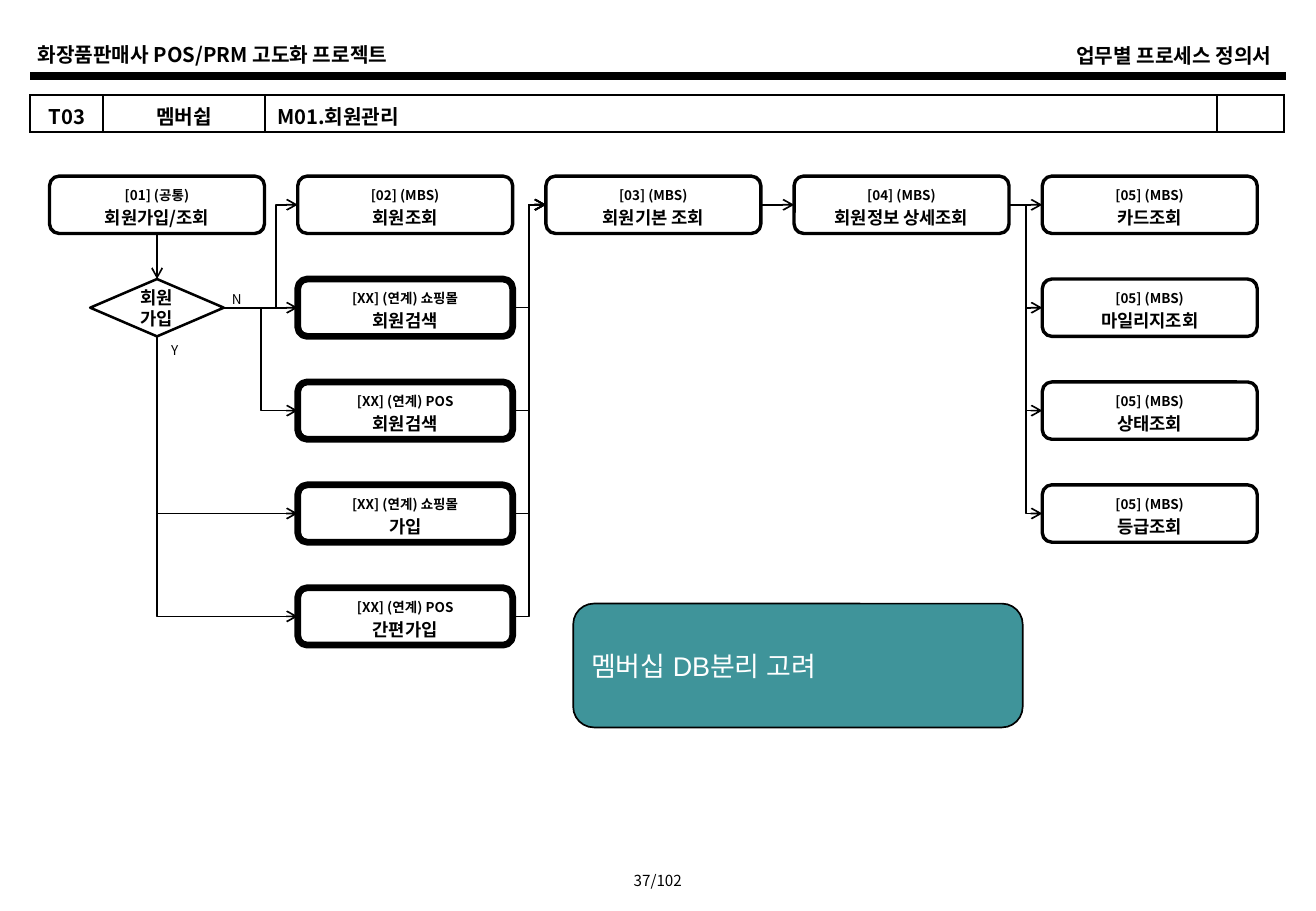
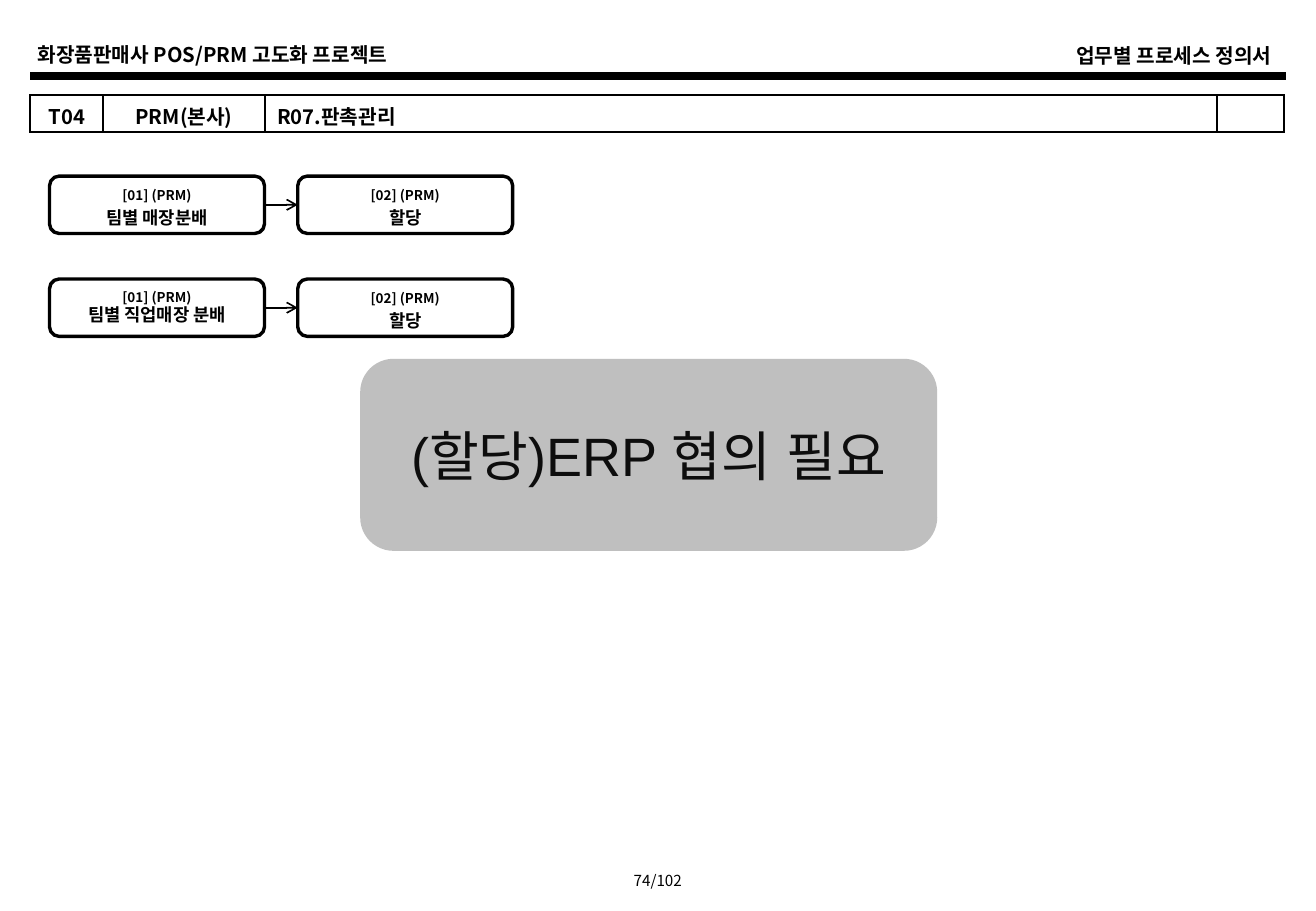
"""Builds two business-process definition slides with flow charts."""
from lxml import etree
from pptx import Presentation
from pptx.dml.color import RGBColor
from pptx.enum.shapes import MSO_CONNECTOR, MSO_SHAPE
from pptx.enum.text import MSO_ANCHOR, MSO_AUTO_SIZE, PP_ALIGN
from pptx.oxml.ns import qn
from pptx.util import Pt

LEFT, CENTER, RIGHT = PP_ALIGN.LEFT, PP_ALIGN.CENTER, PP_ALIGN.RIGHT
MIDDLE, NO_FIT = MSO_ANCHOR.MIDDLE, MSO_AUTO_SIZE.NONE
ROUNDED, DIAMOND = MSO_SHAPE.ROUNDED_RECTANGLE, MSO_SHAPE.FLOWCHART_DECISION
STRAIGHT, ELBOW = MSO_CONNECTOR.STRAIGHT, MSO_CONNECTOR.ELBOW

BLACK = RGBColor(0x00, 0x00, 0x00)
WHITE = RGBColor(0xFF, 0xFF, 0xFF)
TEAL = RGBColor(0x3F, 0x94, 0x9A)
GRAY = RGBColor(0xBF, 0xBF, 0xBF)
INK = RGBColor(0x0D, 0x0D, 0x0D)
KOREAN, LATIN = "Noto Sans CJK KR", "Arial"

PROJECT = "화장품판매사 POS/PRM 고도화 프로젝트"
DOCUMENT = "업무별 프로세스 정의서"
TABLE_COLUMNS = (43.2, 95.8, 564.4, 39.6)
TABLE_ALIGN = (CENTER, CENTER, LEFT, CENTER)

COLUMN_X, COLUMN_STEP, NODE_W = 29.4, 147.1, 127.4
ROW_Y, ROW_STEP, NODE_H = 104.4, 61, 34
DIAMOND_W = 79.2
THIN, THICK = 2, 4
LOOSE, TIGHT = (13, 15), (9, 12)
TOP_SITE, LEFT_SITE, BOTTOM_SITE, RIGHT_SITE = range(4)
SITES = {"across": (RIGHT_SITE, LEFT_SITE), "down": (BOTTOM_SITE, TOP_SITE),
         "drop": (BOTTOM_SITE, LEFT_SITE)}

MEMBERSHIP = {
    "page": "37/102",
    "header": ("T03", "멤버쉽", "M01.회원관리", ""),
    "nodes": [
        (0, 0, "[01] (공통)", "회원가입/조회", THIN, LOOSE),
        (1, 0, "[02] (MBS)", "회원조회", THIN, LOOSE),
        (2, 0, "[03] (MBS)", "회원기본 조회", THIN, LOOSE),
        (3, 0, "[04] (MBS)", "회원정보 상세조회", THIN, LOOSE),
        (4, 0, "[05] (MBS)", "카드조회", THIN, LOOSE),
        (1, 1, "[XX] (연계) 쇼핑몰", "회원검색", THICK, LOOSE),
        (1, 2, "[XX] (연계) POS", "회원검색", THICK, LOOSE),
        (1, 3, "[XX] (연계) 쇼핑몰", "가입", THICK, LOOSE),
        (1, 4, "[XX] (연계) POS", "간편가입", THICK, LOOSE),
        (4, 1, "[05] (MBS)", "마일리지조회", THIN, LOOSE),
        (4, 2, "[05] (MBS)", "상태조회", THIN, LOOSE),
        (4, 3, "[05] (MBS)", "등급조회", THIN, LOOSE),
    ],
    "decisions": [(0, 1, ("회원", "가입"))],
    "labels": [("N", 130.3, 168.5), ("Y", 93.6, 198.7)],
    "links": [
        ((0, 0), (0, 1), "down", None),
        ((0, 1), (1, 1), "across", None),
        ((0, 1), (1, 2), "across", 0.5),
        ((0, 1), (1, 0), "across", 0.71),
        ((0, 1), (1, 3), "drop", None),
        ((0, 1), (1, 4), "drop", None),
        ((2, 0), (3, 0), "across", None),
        ((3, 0), (4, 0), "across", None),
        *[((1, row), (2, 0), "across", 0.5) for row in range(1, 5)],
        *[((3, 0), (4, row), "across", 0.5) for row in range(1, 4)],
    ],
    "callout": {"text": "멤버십 DB분리 고려", "box": (339.8, 357.8, 266.4, 73.4), "fill": TEAL,
                "line": BLACK, "weight": 1, "size": 16, "color": WHITE,
                "align": LEFT, "wrap": True},
}
PROMOTION = {
    "page": "74/102",
    "header": ("T04", "PRM(본사)", "R07.판촉관리", ""),
    "nodes": [
        (0, 0, "[01] (PRM)", "팀별 매장분배", THIN, LOOSE),
        (1, 0, "[02] (PRM)", "할당", THIN, LOOSE),
        (0, 1, "[01] (PRM)", "팀별 직업매장 분배", THIN, TIGHT),
        (1, 1, "[02] (PRM)", "할당", THIN, LOOSE),
    ],
    "decisions": [],
    "labels": [],
    "links": [((0, row), (1, row), "across", None) for row in range(2)],
    "callout": {"text": "(할당)ERP 협의 필요", "box": (214.6, 213.8, 339.8, 111.6), "fill": GRAY,
                "line": GRAY, "weight": 2.25, "size": 32, "color": INK,
                "align": CENTER, "wrap": False},
}


def points(*lengths):
    return [Pt(length) for length in lengths]


def write(frame, *lines, sizes=(12,), spacing=None, font=KOREAN, color=BLACK,
          bold=False, align=LEFT, inset=(7.2, 0), wrap=True):
    frame.word_wrap = wrap
    frame.auto_size = NO_FIT
    frame.vertical_anchor = MIDDLE
    frame.margin_left = frame.margin_right = Pt(inset[0])
    frame.margin_top = frame.margin_bottom = Pt(inset[1])
    for index, line in enumerate(lines):
        paragraph = frame.add_paragraph() if index else frame.paragraphs[0]
        paragraph.alignment = align
        paragraph.space_before = Pt(0)
        if spacing:
            paragraph.line_spacing = Pt(spacing[index])
        run = paragraph.add_run()
        run.text = line
        run.font.name, run.font.bold = font, bold
        run.font.size = Pt(sizes[index % len(sizes)])
        run.font.color.rgb = color
        etree.SubElement(run.font._element, qn("a:ea"), typeface=font)


def add_text(slide, box, text, **style):
    write(slide.shapes.add_textbox(*points(*box)).text_frame, text, **style)


def add_block(slide, preset, box, fill, line, weight):
    block = slide.shapes.add_shape(preset, *points(*box))
    block.shadow.inherit = False
    if fill is None:
        block.fill.background()
    else:
        block.fill.solid()
        block.fill.fore_color.rgb = fill
    block.line.color.rgb = line
    block.line.width = Pt(weight)
    return block


def style_line(line, weight, arrow=True):
    line.line.color.rgb = BLACK
    line.line.width = Pt(weight)
    if arrow:
        etree.SubElement(line.line._get_or_add_ln(), qn("a:tailEnd"), type="arrow")
    etree.SubElement(line._element.spPr, qn("a:effectLst"))


def turn_corner(link):
    """Bends a connector once: down first, then right."""
    left, top, width, height = link.left, link.top, link.width, link.height
    link.left, link.top = left + (width - height) // 2, top + (height - width) // 2
    link.width, link.height = height, width
    xfrm = link._element.spPr.find(qn("a:xfrm"))
    xfrm.set("rot", "16200000")
    xfrm.set("flipH", "1")
    link._element.spPr.find(qn("a:prstGeom")).set("prst", "bentConnector2")


def add_link(slide, start, end, route, bend):
    kind = ELBOW if bend or route == "drop" else STRAIGHT
    link = slide.shapes.add_connector(kind, start.left, start.top, end.left, end.top)
    link.begin_connect(start, SITES[route][0])
    link.end_connect(end, SITES[route][1])
    if route == "drop":
        turn_corner(link)
    elif bend:
        guides = link._element.spPr.find(qn("a:prstGeom")).get_or_add_avLst()
        etree.SubElement(guides, qn("a:gd"), name="adj1", fmla=f"val {round(bend * 100000)}")
    style_line(link, 1)


def add_border(cell):
    properties = cell._tc.get_or_add_tcPr()
    for side in ("lnL", "lnR", "lnT", "lnB"):
        edge = etree.SubElement(properties, qn(f"a:{side}"), w=str(Pt(1.5)))
        fill = etree.SubElement(edge, qn("a:solidFill"))
        etree.SubElement(fill, qn("a:srgbClr"), val=str(BLACK))


def add_header_table(slide, texts):
    box = points(18, 56.5, sum(TABLE_COLUMNS), 21.6)
    table = slide.shapes.add_table(1, len(texts), *box).table
    table.first_row = table.horz_banding = False
    for index, (text, width, align) in enumerate(zip(texts, TABLE_COLUMNS, TABLE_ALIGN)):
        table.columns[index].width = Pt(width)
        cell = table.cell(0, index)
        add_border(cell)
        cell.fill.background()
        cell.vertical_anchor = MIDDLE
        cell.margin_top, cell.margin_bottom = points(3, 0)
        paragraph = cell.text_frame.paragraphs[0]
        if text:
            run = paragraph.add_run()
            run.text = text
            paragraph.alignment = align
            run.font.name, run.font.size, run.font.bold = KOREAN, Pt(12), True
            run.font.color.rgb = BLACK
            etree.SubElement(run.font._element, qn("a:ea"), typeface=KOREAN)
        else:
            etree.SubElement(paragraph._p, qn("a:endParaRPr"), sz="1200")


def add_frame(slide, page):
    title = slide.shapes.title
    title.left, title.top, title.width, title.height = points(462.2, 22.3, 298.8, 21.6)
    write(title.text_frame, DOCUMENT, bold=True, align=RIGHT)
    add_text(slide, (15.1, 21.6, 298.8, 21.6), PROJECT, bold=True)
    rule = slide.shapes.add_connector(STRAIGHT, *points(18, 44.9, 762, 44.9))
    style_line(rule, 4.5, arrow=False)
    add_text(slide, (356.4, 512.6, 67, 18), page, sizes=(9,), align=CENTER)


def cell_box(column, row, width=NODE_W):
    left = COLUMN_X + column * COLUMN_STEP + (NODE_W - width) / 2
    return left, ROW_Y + row * ROW_STEP, width, NODE_H


def add_flow(slide, content):
    steps = {}
    for column, row, code, name, weight, spacing in content["nodes"]:
        node = add_block(slide, ROUNDED, cell_box(column, row), WHITE, BLACK, weight)
        write(node.text_frame, code, name, sizes=(8, 10.5), spacing=spacing,
              bold=True, align=CENTER, inset=(2.9, 2.9))
        steps[column, row] = node
    for column, row, words in content["decisions"]:
        decision = add_block(slide, DIAMOND, cell_box(column, row, DIAMOND_W), None, BLACK, 1.5)
        write(decision.text_frame, *words, sizes=(10.5,), spacing=(12.5, 12.5),
              bold=True, align=CENTER, inset=(0, 0))
        steps[column, row] = decision
    for text, left, top in content["labels"]:
        add_text(slide, (left, top, 20, 17.3), text, sizes=(8,), align=CENTER, wrap=False)
    for start, end, route, bend in content["links"]:
        add_link(slide, steps[start], steps[end], route, bend)


def add_callout(slide, note):
    callout = add_block(slide, ROUNDED, note["box"], note["fill"], note["line"], note["weight"])
    write(callout.text_frame, note["text"], sizes=(note["size"],), font=LATIN,
          color=note["color"], align=note["align"], inset=(7.2, 3.6), wrap=note["wrap"])


def main():
    deck = Presentation()
    deck.slide_width, deck.slide_height = points(780, 540)
    for content in (MEMBERSHIP, PROMOTION):
        slide = deck.slides.add_slide(deck.slide_layouts[5])
        add_frame(slide, content["page"])
        add_header_table(slide, content["header"])
        add_flow(slide, content)
        add_callout(slide, content["callout"])
    deck.save("out.pptx")


if __name__ == "__main__":
    main()
